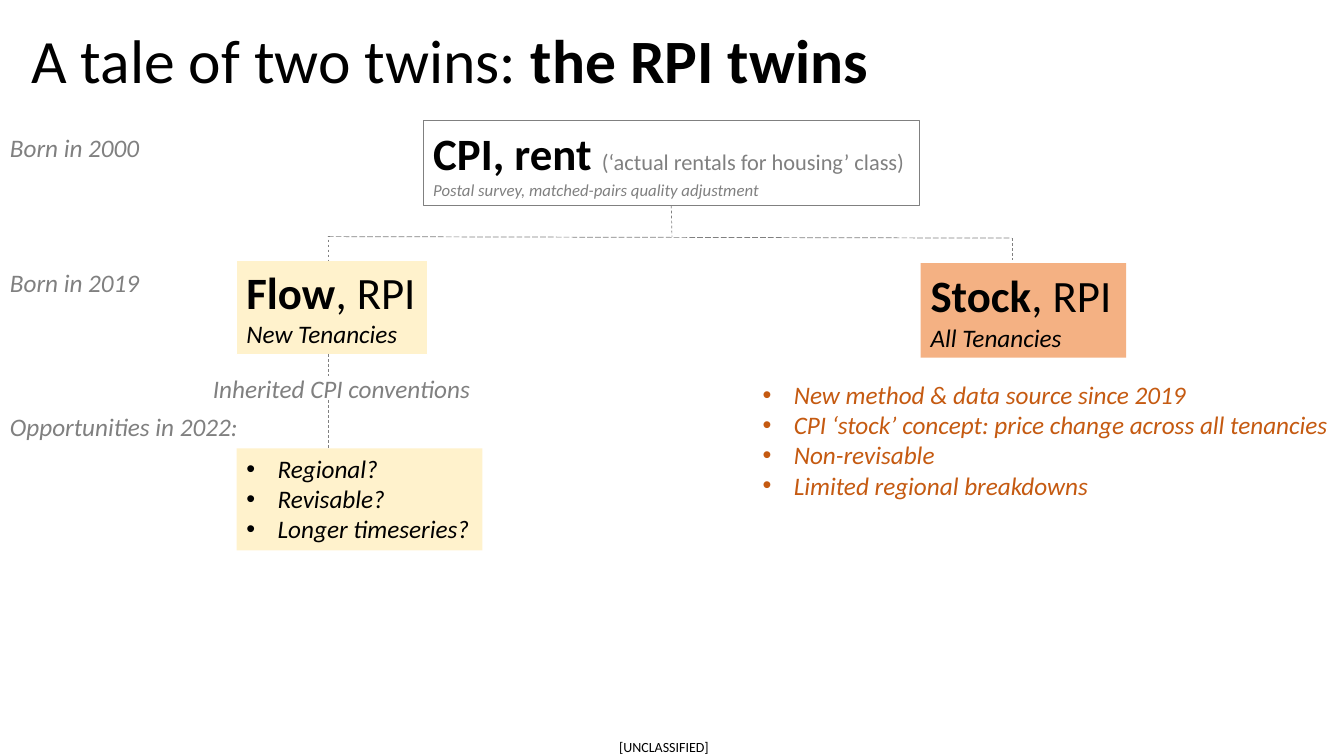
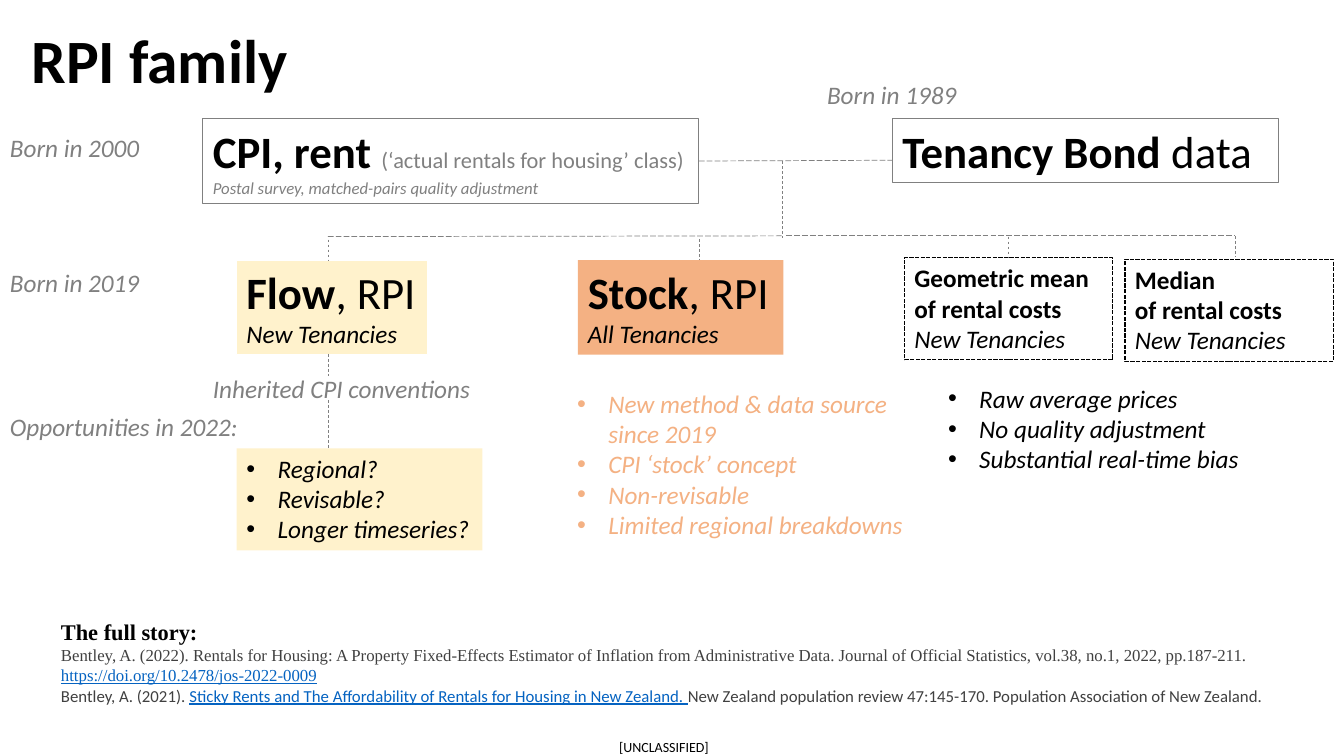
from dataclasses import dataclass

from lxml.etree import SubElement
from pptx import Presentation
from pptx.dml.color import RGBColor
from pptx.enum.dml import MSO_LINE as Dash
from pptx.enum.shapes import MSO_CONNECTOR, MSO_SHAPE
from pptx.enum.text import MSO_ANCHOR as Anchor, MSO_AUTO_SIZE as Fit, PP_ALIGN as Align
from pptx.oxml.ns import qn
from pptx.util import Inches, Pt


@dataclass(frozen=True)
class Theme:
    font: str = "Calibri"
    serif: str = "Times New Roman"
    black: str = "000000"
    white: str = "FFFFFF"
    grey: str = "808080"
    dark: str = "404040"
    link: str = "0563C1"
    cream: str = "FFF2CC"
    peach: str = "F4B183"
    rust: str = "C55A11"
    title: int = 44
    name: int = 32
    body: int = 18
    note: int = 16
    small: int = 12
    footer: int = 10


T = Theme()
WIDTH, HEIGHT = Inches(13.333), Inches(7.5)

# All positions and sizes are percentages of the slide's width and height.
LABEL_H = 5.3
FLOW_X, FLOW_LINE = 17.6, 24.4
CHILD_Y, CHILD_H = 34.4, 12.5
BUS_Y = 31.3
LIST_H = 13.5

TRAITS = ["New method & data source since 2019", "CPI ‘stock’ concept",
          "Non-revisable", "Limited regional breakdowns"]


def across(share):
    return round(WIDTH * share / 100)


def down(share):
    return round(HEIGHT * share / 100)


def frame(x, y, w, h):
    return across(x), down(y), across(w), down(h)


def rgb(value):
    return RGBColor.from_string(value)


def add_run(p, text, size=T.body, font=T.font, color=T.black,
            bold=False, italic=False, underline=False):
    r = p.add_run()
    r.text = text
    f = r.font
    f.size, f.name, f.color.rgb = Pt(size), font, rgb(color)
    f.bold, f.italic, f.underline = bold, italic, underline


def add_bullet(p):
    pPr = p._p.get_or_add_pPr()
    indent = Inches(0.31)
    pPr.set("marL", str(indent))
    pPr.set("indent", str(-indent))
    SubElement(pPr, qn("a:buFont")).set("typeface", "Arial")
    SubElement(pPr, qn("a:buChar")).set("char", "•")


def write(sp, paragraphs, wrap=False, fit=Fit.SHAPE_TO_FIT_TEXT, anchor=Anchor.TOP,
          align=Align.LEFT, spacing=None, bullets=False, **fmt):
    """Fill a shape; a paragraph is a string or a list of (text, format) runs."""
    tf = sp.text_frame
    tf.word_wrap, tf.auto_size, tf.vertical_anchor = wrap, fit, anchor
    for i, runs in enumerate(paragraphs):
        p = tf.paragraphs[0] if i == 0 else tf.add_paragraph()
        p.alignment = align
        if spacing:
            p.line_spacing = spacing
        if bullets:
            add_bullet(p)
        for text, own in [(runs, {})] if isinstance(runs, str) else runs:
            add_run(p, text, **{**fmt, **own})


def add_text(s, at, paragraphs, **fmt):
    sp = s.shapes.add_textbox(*frame(*at))
    write(sp, paragraphs, **fmt)
    return sp


def add_box(s, at, paragraphs, fill=T.white, line=None, weight=0.75, dash=None, **fmt):
    sp = s.shapes.add_shape(MSO_SHAPE.RECTANGLE, *frame(*at))
    sp.shadow.inherit = False
    sp.fill.solid()
    sp.fill.fore_color.rgb = rgb(fill)
    if line:
        sp.line.color.rgb, sp.line.width = rgb(line), Pt(weight)
        if dash:
            sp.line.dash_style = dash
    else:
        sp.line.fill.background()
    write(sp, paragraphs, **fmt)
    return sp


def add_link(s, start, end, dash=Dash.DASH, begin=None, finish=None):
    """Draw a dashed line; begin and finish are (shape, side) joints."""
    cn = s.shapes.add_connector(MSO_CONNECTOR.STRAIGHT, across(start[0]), down(start[1]),
                                across(end[0]), down(end[1]))
    cn.line.color.rgb, cn.line.width, cn.line.dash_style = rgb(T.grey), Pt(0.5), dash
    SubElement(cn._element.spPr, qn("a:effectLst"))
    if begin:
        cn.begin_connect(*begin)
    if finish:
        cn.end_connect(*finish)


def add_label(s, x, y, w, text):
    add_text(s, (x, y, w, LABEL_H), [text], color=T.grey, italic=True)


def add_bullets(s, at, items, color=T.black, wrap=False):
    add_text(s, at, items, bullets=True, color=color, wrap=wrap, italic=True)


def add_index(s, x, y, w, name, scope, fill, **style):
    runs = [(name, {"bold": True}), (", RPI", {})]
    add_box(s, (x, y, w, CHILD_H),
            [[(text, {"size": T.name, **own}) for text, own in runs],
             [(scope, {"italic": True})]], fill=fill, **style)


def add_stock(s, x, y):
    add_index(s, x, y, 15.3, "Stock", "All Tenancies", T.peach)


def add_cpi(s, x, y):
    return add_box(s, (x, y, 36.9, 11.2), [
        [("CPI, rent ", {"size": T.name, "bold": True}),
         ("(‘actual rentals for housing’ class)", {"size": T.note, "color": T.grey})],
        [("Postal survey, matched-pairs quality adjustment",
          {"size": T.small, "color": T.grey, "italic": True})]], line=T.grey)


def add_average(s, x, y, lines):
    return add_box(s, (x, y, 15.5, LIST_H),
                   [[(line, {"bold": True})] for line in lines]
                   + [[("New Tenancies", {"italic": True})]],
                   line=T.black, weight=1, dash=Dash.SQUARE_DOT, wrap=True)


def add_flow_branch(s):
    add_index(s, FLOW_X, CHILD_Y, 14.2, "Flow", "New Tenancies", T.cream,
              line=T.white, weight=1)
    add_label(s, 15.1, 48.7, 20.9, "Inherited CPI conventions")
    add_box(s, (FLOW_X, 59.3, 18.3, LIST_H),
            ["Regional?", "Revisable?", "Longer timeseries?"],
            fill=T.cream, bullets=True, italic=True)
    for top, bottom in [(31.7, 34.5), (46.8, 49.7), (52.9, 59.2)]:
        add_link(s, (FLOW_LINE, top), (FLOW_LINE, bottom))


def new_slide(prs, title):
    """Start a slide with the title, footer, time labels and flow branch."""
    s = prs.slides.add_slide(prs.slide_layouts[6])
    footer = add_text(s, (45.9, 97.7, 7, 2.3), ["[UNCLASSIFIED]"],
                      size=T.footer, align=Align.CENTER)
    tf = footer.text_frame
    tf.margin_left = tf.margin_right = tf.margin_top = tf.margin_bottom = 0
    add_text(s, (1.6, -1.3, 86.3, 19.3), [title], size=T.title, wrap=True,
             fit=Fit.NONE, anchor=Anchor.MIDDLE, spacing=0.9)
    for y, w, text in [(16.8, 11.3, "Born in 2000"), (34.7, 11.3, "Born in 2019"),
                       (53.7, 18.9, "Opportunities in 2022:")]:
        add_label(s, 0, y, w, text)
    add_flow_branch(s)
    return s


def build_twins(prs):
    s = new_slide(prs, [("A tale of two twins: ", {}), ("the RPI twins", {"bold": True})])
    stock_line = 75.3
    add_stock(s, 68.5, 34.8)
    concept = TRAITS[1] + ": price change across all tenancies"
    add_bullets(s, (56, 49.5, 44, 17.5), [TRAITS[0], concept, *TRAITS[2:]], T.rust)
    cpi = add_cpi(s, 31.5, 16)
    add_link(s, (FLOW_LINE, BUS_Y), (stock_line, 31.5), Dash.LONG_DASH)
    add_link(s, (stock_line, 31.5), (stock_line, CHILD_Y))
    add_link(s, (50, 27.2), (50, BUS_Y), begin=(cpi, 2))


def add_references(s):
    linked = {"color": T.link, "underline": True}
    serif = {"font": T.serif}
    add_text(s, (3.8, 81.1, 91.2, 13.1), [
        [("The full story:", {**serif, "size": T.note, "color": T.black, "bold": True})],
        [("Bentley, A. (2022). Rentals for Housing: A Property Fixed-Effects Estimator of "
          "Inflation from Administrative Data. Journal of Official Statistics, vol.38, no.1, "
          "2022, pp.187-211. ", serif),
         ("https://doi.org/10.2478/jos-2022-0009", {**serif, **linked})],
        [("Bentley, A. (2021). ", {}),
         ("Sticky Rents and The Affordability of Rentals for Housing in New Zealand. ", linked),
         ("New Zealand population review 47:145-170. "
          "Population Association of New Zealand.", {})],
    ], size=T.small, color=T.dark, wrap=True)


def build_family(prs):
    s = new_slide(prs, [("RPI family", {"bold": True})])
    trunk, stock_line, median_line, bus_y = 58.2, 52, 91.9, 31.2
    add_references(s)
    add_stock(s, 43, CHILD_Y)
    add_bullets(s, (42.2, 50.7, 27.7, 21.6), TRAITS, T.peach, wrap=True)
    cpi = add_cpi(s, 15.1, 15.7)
    add_box(s, (66.4, 15.7, 28.7, 8.5),
            [[("Tenancy Bond ", {"bold": True}), ("data", {})]], line=T.grey, size=T.name)
    add_label(s, 60.8, 9.9, 11.3, "Born in 1989")
    geometric = add_average(s, 67.3, 34.1, ["Geometric mean of rental costs"])
    add_average(s, 83.7, 34.3, ["Median", "of rental costs"])
    add_bullets(s, (69.8, 50, 27.7, LIST_H),
                ["Raw average prices", "No quality adjustment", "Substantial real-time bias"],
                wrap=True)

    add_link(s, (52, 21.3), (66.4, 21.2), Dash.LONG_DASH, begin=(cpi, 3))
    add_link(s, (trunk, 21.3), (trunk, 31.5))
    add_link(s, (FLOW_LINE, BUS_Y), (trunk, bus_y), Dash.LONG_DASH)
    add_link(s, (58.5, bus_y), (median_line, bus_y), Dash.LONG_DASH)
    add_link(s, (stock_line, 31.6), (stock_line, CHILD_Y))
    add_link(s, (75.05, BUS_Y), (75.05, 34.1), finish=(geometric, 0))
    add_link(s, (median_line, bus_y), (median_line, 34))


def main():
    prs = Presentation()
    prs.slide_width, prs.slide_height = WIDTH, HEIGHT
    build_twins(prs)
    build_family(prs)
    prs.save("out.pptx")


if __name__ == "__main__":
    main()
